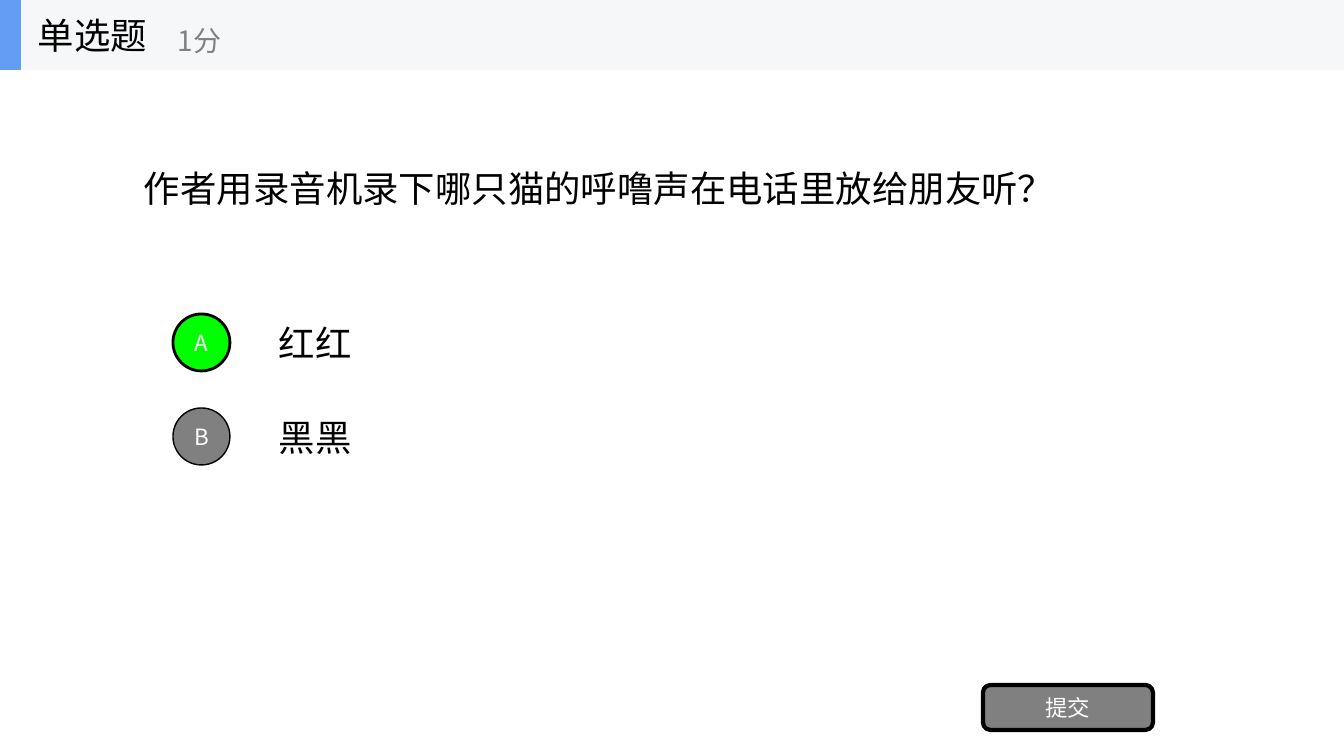
"""Build a single-choice quiz slide with a header, two options and a submit button."""
import pptx
import pptx.util
import pptx.dml.color
import pptx.enum.shapes
import pptx.enum.text
import pptx.oxml.ns
import lxml.etree

PIXEL = 914400 / 100.8
FONT = "Noto Sans CJK SC"
COLOURS = {
    "ink": "000000",
    "white": "FFFFFF",
    "grey": "808080",
    "chosen": "00FF00",
    "band": "F6F7F8",
    "accent": "639EF4",
}
KINDS = pptx.enum.shapes.MSO_SHAPE

deck = pptx.Presentation()
deck.slide_width = round(1344 * PIXEL)
deck.slide_height = round(756 * PIXEL)
slide = deck.slides.add_slide(deck.slide_layouts[6])


def write(holder, words, size, colour, align=pptx.enum.text.PP_ALIGN.LEFT):
    frame = holder.text_frame
    frame.text = words
    frame.word_wrap = True
    frame.vertical_anchor = pptx.enum.text.MSO_ANCHOR.MIDDLE
    frame.paragraphs[0].alignment = align
    run = frame.paragraphs[0].runs[0]
    run.font.size = pptx.util.Pt(size)
    run.font.name = FONT
    run.font.color.rgb = pptx.dml.color.RGBColor.from_string(COLOURS[colour])
    east_asian = lxml.etree.SubElement(run.font._element, pptx.oxml.ns.qn("a:ea"))
    east_asian.set("typeface", FONT)


def draw(kind, box, fill, border=0, label=""):
    shape = slide.shapes.add_shape(kind, *[round(side * PIXEL) for side in box])
    shape.shadow.inherit = False
    shape.fill.solid()
    shape.fill.fore_color.rgb = pptx.dml.color.RGBColor.from_string(COLOURS[fill])
    if border:
        shape.line.color.rgb = pptx.dml.color.RGBColor.from_string(COLOURS["ink"])
        shape.line.width = pptx.util.Pt(border)
    else:
        shape.line.fill.background()
    if label:
        frame = shape.text_frame
        frame.margin_left = frame.margin_right = frame.margin_top = frame.margin_bottom = 0
        write(shape, label, 16, "white", pptx.enum.text.PP_ALIGN.CENTER)


draw(KINDS.RECTANGLE, (0, 0, 1344, 70), "band")
draw(KINDS.RECTANGLE, (0, 0, 21, 70), "accent")

options = [("A", "红红", "chosen", 2), ("B", "黑黑", "grey", 1)]
texts = [
    ("单选题", (28, 0, 210, 70), 26, "ink"),
    ("1分", (168, 12, 252, 56), 20, "grey"),
    ("作者用录音机录下哪只猫的呼噜声在电话里放给朋友听？", (134, 70, 1076, 236), 26, "ink"),
]
for row, (letter, answer, fill, border) in enumerate(options):
    top = 307 + 94 * row
    draw(KINDS.OVAL, (173, top + 7, 57, 57), fill, border, letter)
    texts.append((answer, (269, top, 941, 71), 26, "ink"))

for words, box, size, colour in texts:
    write(slide.shapes.add_textbox(*[round(side * PIXEL) for side in box]), words, size, colour)

draw(KINDS.ROUNDED_RECTANGLE, (983, 685, 170, 45), "grey", 3, "提交")

deck.save("out.pptx")
